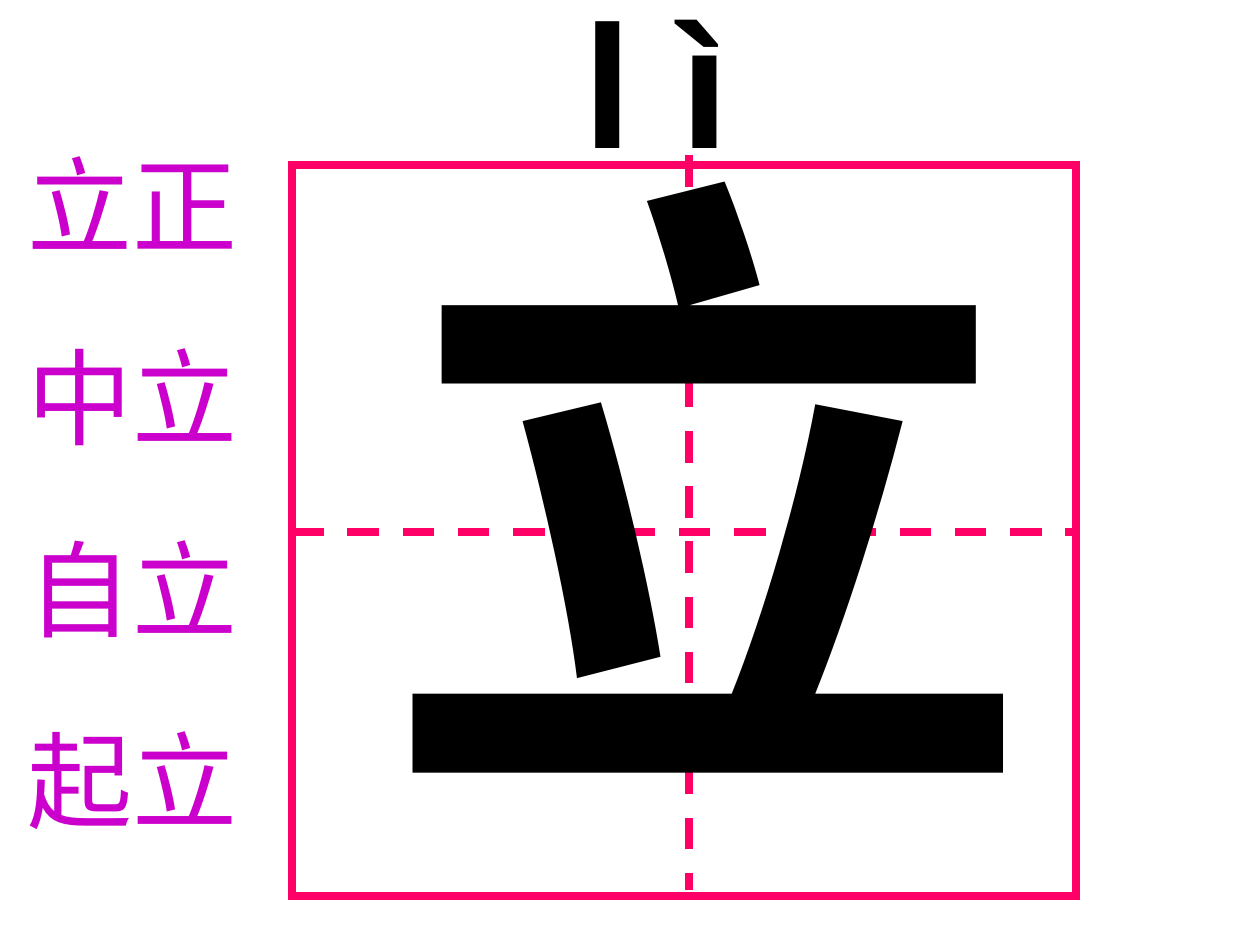
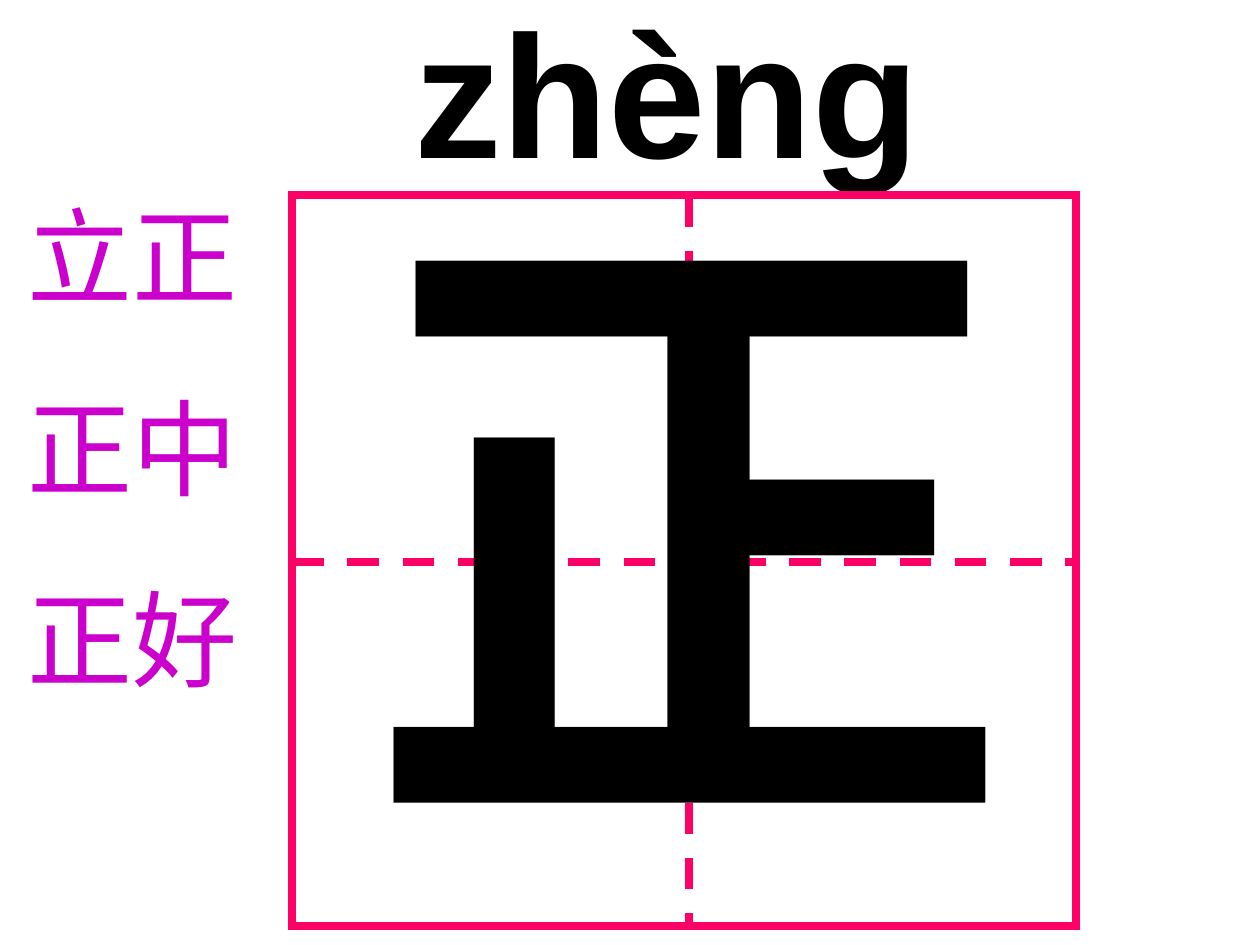
import pptx
import pptx.dml.color
import pptx.enum.dml
import pptx.enum.shapes
import pptx.enum.text
import pptx.oxml.ns
import pptx.util
import lxml.etree

SCALE = 9144  # EMU per px, 100 px to the inch
INK, PINK, PLUM = "000000", "FF0066", "CC00CC"
FRAME = (622, 580)
GLYPH = (534, 627)

CARDS = [
    dict(sound="l ì", sound_box=(453, -26, 323, 177), glyph="立", glyph_at=(295, 68),
         top=131, mid=422, dash=(123, 706),
         words=["立正", "中立", "自立", "起立"], words_box=(12, 107, 205, 567)),
    dict(sound="zhèng", sound_box=(319, -18, 520, 177), glyph="正", glyph_at=(280, 92),
         top=155, mid=446, dash=(155, 737),
         words=["立正", "正中", "正好"], words_box=(12, 147, 205, 414)),
]


def px(*sizes):
    return [pptx.util.Emu(size * SCALE) for size in sizes]


def color(code):
    return pptx.dml.color.RGBColor.from_string(code)


def text(slide, box, lines, size, font="Arial", tint=INK, bold=False, wrap=True, gap=0):
    frame = slide.shapes.add_textbox(*px(*box)).text_frame
    frame.word_wrap = wrap
    frame.auto_size = pptx.enum.text.MSO_AUTO_SIZE.SHAPE_TO_FIT_TEXT
    for i, line in enumerate(lines):
        para = frame.paragraphs[0] if i == 0 else frame.add_paragraph()
        if i:
            para.space_before = pptx.util.Pt(gap)
        run = para.add_run()
        run.text = line
        run.font.name, run.font.size, run.font.bold = font, pptx.util.Pt(size), bold
        run.font.color.rgb = color(tint)


def stroke(line, tint, width):
    line.color.rgb = color(tint)
    line.width = pptx.util.Pt(width)


def rule(shapes, ends, tint=PINK, width=4.5, dash=True):
    line = shapes.add_connector(pptx.enum.shapes.MSO_CONNECTOR.STRAIGHT, *px(*ends))
    stroke(line.line, tint, width)
    if dash:
        line.line.dash_style = pptx.enum.dml.MSO_LINE.DASH
    lxml.etree.SubElement(line._element.spPr, pptx.oxml.ns.qn("a:effectLst"))


def grid(slide, left, top, mid, dash):
    """Draw the square for writing, with its dashed cross."""
    wide, high = FRAME
    group = slide.shapes.add_group_shape().shapes
    frame = group.add_shape(pptx.enum.shapes.MSO_SHAPE.RECTANGLE, *px(left, top, wide, high))
    frame.shadow.inherit = False
    frame.fill.background()
    stroke(frame.line, PINK, 4.5)
    edge = frame._element.spPr.find(pptx.oxml.ns.qn("a:ln"))
    lxml.etree.SubElement(edge, pptx.oxml.ns.qn("a:miter"), lim="800000")
    rule(group, (left, mid, left + wide, mid))
    center = left + 315
    rule(group, (center, dash[0], center, dash[1]))


def card(slide, sound, sound_box, glyph, glyph_at, top, mid, dash, words, words_box):
    rule(slide.shapes, (185, 446, 185, 446), tint=INK, width=0.75, dash=False)
    text(slide, sound_box, [sound], 100, bold=True)
    grid(slide, 232, top, mid, dash)
    text(slide, glyph_at + GLYPH, [glyph], 370, font="Times New Roman", bold=True, wrap=False)
    text(slide, words_box, words, 60, tint=PLUM, gap=37.5)


def main():
    deck = pptx.Presentation()
    deck.slide_width, deck.slide_height = px(1000, 750)
    for parts in CARDS:
        card(deck.slides.add_slide(deck.slide_layouts[6]), **parts)
    deck.save("out.pptx")


if __name__ == "__main__":
    main()
